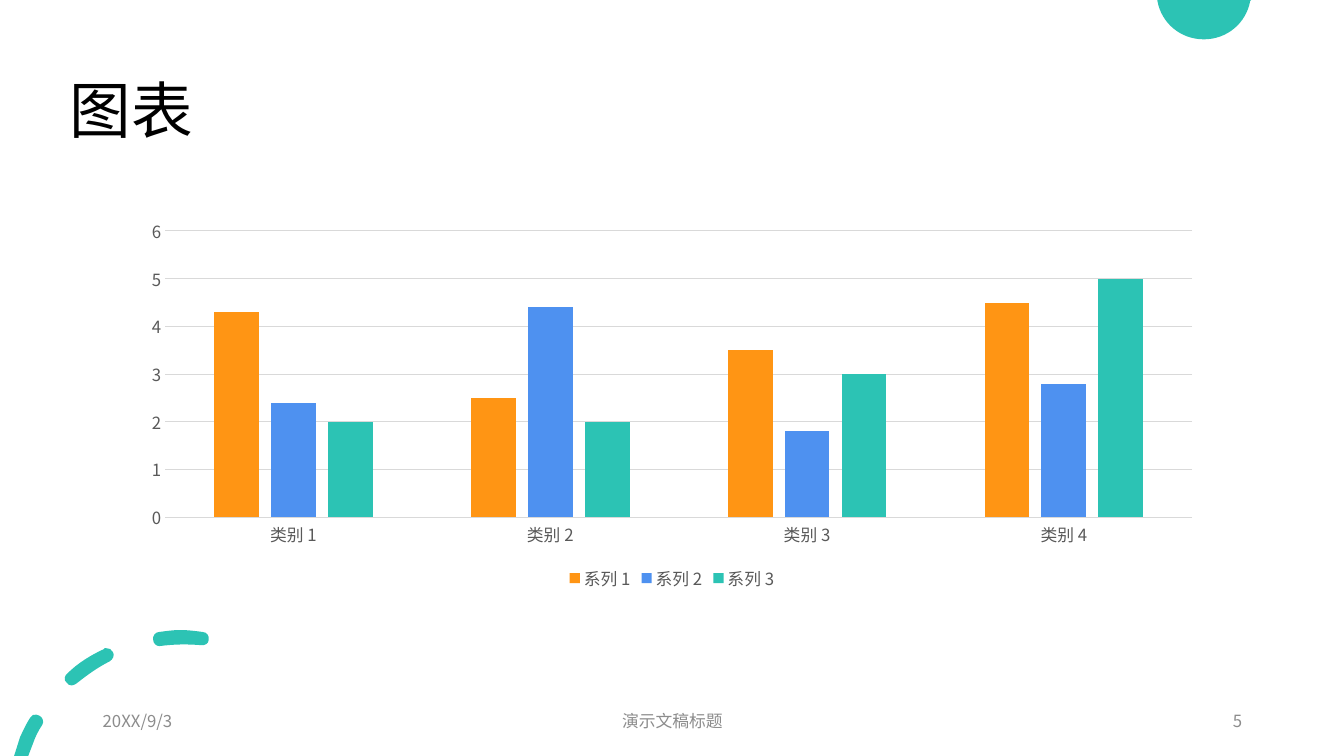
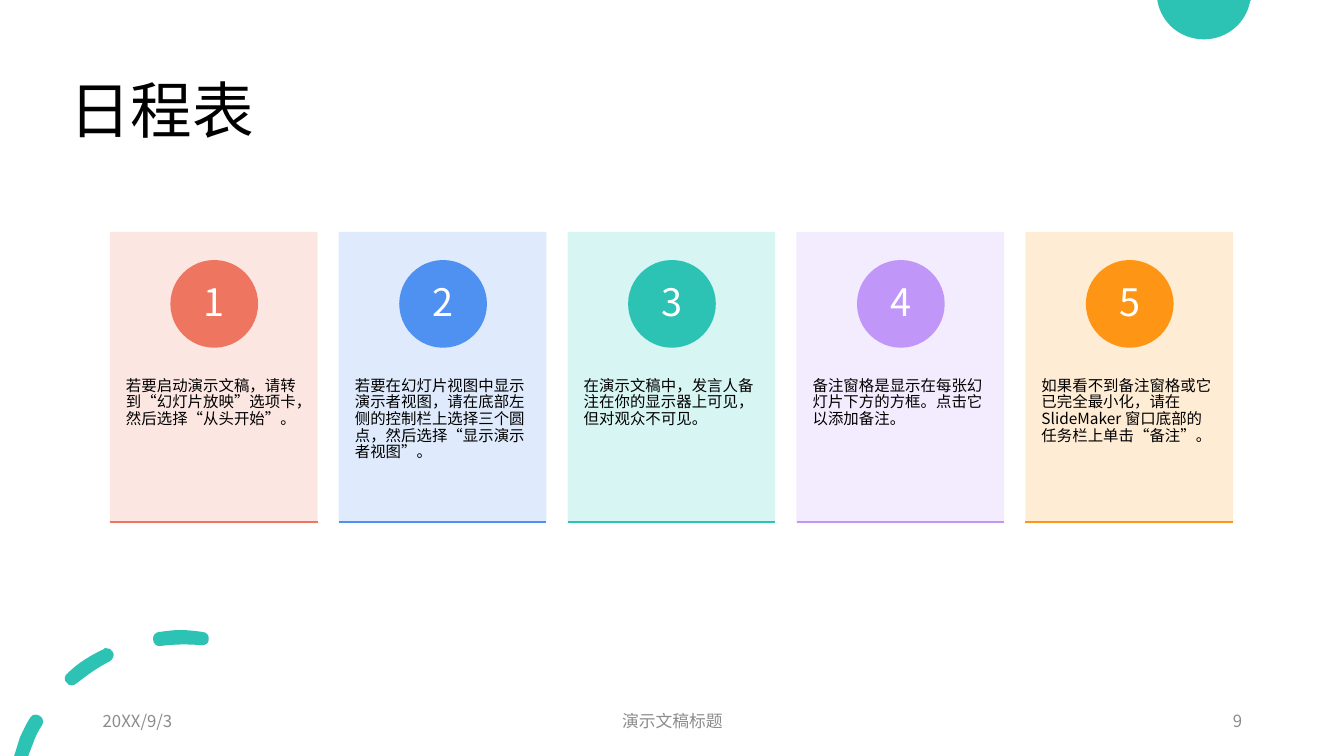
from lxml import etree
from pptx import Presentation
from pptx.chart.data import CategoryChartData
from pptx.dml.color import RGBColor
from pptx.enum.chart import XL_CHART_TYPE, XL_LEGEND_POSITION, XL_TICK_MARK
from pptx.enum.shapes import MSO_CONNECTOR, MSO_SHAPE
from pptx.enum.text import MSO_ANCHOR, MSO_AUTO_SIZE, PP_ALIGN
from pptx.oxml.ns import qn
from pptx.util import Inches, Pt

LEFT, CENTER, RIGHT = PP_ALIGN.LEFT, PP_ALIGN.CENTER, PP_ALIGN.RIGHT
TOP, MIDDLE = MSO_ANCHOR.TOP, MSO_ANCHOR.MIDDLE
NONE, FIXED = XL_TICK_MARK.NONE, MSO_AUTO_SIZE.NONE
FONT = "Noto Sans CJK SC"
HEX = {
    "black": "000000", "white": "FFFFFF", "gray": "8C8C8C",
    "label": "595959", "grid": "D9D9D9",
    "coral": "EE7661", "blue": "4E91F0", "teal": "2CC3B4",
    "violet": "C097F8", "orange": "FF9514",
    "coral tint": "FCE4DF", "blue tint": "DCE9FC", "teal tint": "D3F5F2",
    "violet tint": "F2EAFE", "orange tint": "FFEAD0",
}
RGB = {name: RGBColor.from_string(code) for name, code in HEX.items()}

# Outlines in inches: a start, then lines (2 numbers) and curves (6 numbers)
DISC = [
    [(11.48, 0), (12.41, 0), (12.4, 0.01), (12.36, 0.23, 12.17, 0.39, 11.94, 0.39),
     (11.71, 0.39, 11.52, 0.23, 11.48, 0.01)],
]
DASHES = [
    [(0.36, 7.09), (0.34, 7.08, 0.31, 7.1, 0.3, 7.12),
     (0.26, 7.18, 0.23, 7.25, 0.2, 7.31), (0.14, 7.5), (0.28, 7.5), (0.33, 7.37),
     (0.35, 7.31, 0.38, 7.25, 0.42, 7.19), (0.44, 7.16, 0.42, 7.11, 0.39, 7.1),
     (0.38, 7.09, 0.37, 7.09, 0.36, 7.09)],
    [(1.05, 6.43), (1.04, 6.43, 1.03, 6.43, 1.03, 6.44),
     (0.9, 6.5, 0.77, 6.58, 0.67, 6.68), (0.64, 6.7, 0.63, 6.75, 0.66, 6.77),
     (0.67, 6.79, 0.69, 6.8, 0.71, 6.8), (0.73, 6.8, 0.74, 6.79, 0.76, 6.78),
     (0.86, 6.7, 0.97, 6.62, 1.09, 6.56), (1.12, 6.54, 1.14, 6.5, 1.12, 6.47),
     (1.11, 6.44, 1.08, 6.43, 1.05, 6.43)],
    [(1.79, 6.25), (1.72, 6.25, 1.65, 6.26, 1.58, 6.27),
     (1.54, 6.27, 1.51, 6.31, 1.52, 6.35), (1.52, 6.38, 1.55, 6.41, 1.58, 6.41),
     (1.73, 6.39, 1.86, 6.39, 1.99, 6.4), (2.03, 6.41, 2.07, 6.38, 2.07, 6.35),
     (2.08, 6.31, 2.05, 6.27, 2.01, 6.27), (1.94, 6.26, 1.86, 6.25, 1.79, 6.25)],
]


def text(shape, words, size=12, color="black", align=LEFT, anchor=MIDDLE,
         pad=(0.1, 0.05), space=1.0):
    """Fill a shape with one paragraph; pad is the side and top inset in inches."""
    frame = shape.text_frame
    frame.word_wrap = True
    frame.auto_size = FIXED
    frame.vertical_anchor = anchor
    frame.margin_left = frame.margin_right = Inches(pad[0])
    frame.margin_top = frame.margin_bottom = Inches(pad[1])
    para = frame.paragraphs[0]
    para.alignment = align
    para.line_spacing = space
    run = para.add_run()
    run.text = words
    run.font.size = Pt(size)
    run.font.name = FONT
    run.font.color.rgb = RGB[color]


def paint(shape, color):
    shape.shadow.inherit = False
    shape.fill.solid()
    shape.fill.fore_color.rgb = RGB[color]
    shape.line.fill.background()


deck = Presentation()
deck.slide_width, deck.slide_height = Inches(13.33), Inches(7.5)

# Parts shared by both slides
slides = []
for title, width, page in (("图表", 6.35, "5"), ("日程表", 11.5, "9")):
    slide = deck.slides.add_slide(deck.slide_layouts[6])
    slides.append(slide)
    for loops in (DISC, DASHES):
        pen = slide.shapes.build_freeform(*[Inches(v) for v in loops[0][0]])
        for start, *steps in loops:
            if start != loops[0][0]:
                pen.move_to(*[Inches(v) for v in start])
            flat = [Inches(v) for step in steps for v in step]
            pen.add_line_segments(list(zip(flat[::2], flat[1::2])), close=False)
            # An outline is closed below, once its curves are in place
        shape = pen.convert_to_shape()
        paint(shape, "teal")
        lines = iter(list(shape.element.iter(qn("a:lnTo"))))
        for start, *steps in loops:
            for step in steps:
                last = next(lines)
                if len(step) == 6:
                    curve = last.makeelement(qn("a:cubicBezTo"), {})
                    last.addprevious(curve)
                    for line in (last, next(lines), next(lines)):
                        curve.append(line[0])
                        line.getparent().remove(line)
                    last = curve
            last.addnext(last.makeelement(qn("a:close"), {}))
    box = slide.shapes.add_textbox(Inches(0.59), Inches(0.4), Inches(width), Inches(1.45))
    text(box, title, size=44, space=0.9)
    for words, left, wide, align in (("20XX/9/3", 0.92, 3, LEFT),
                                     ("演示文稿标题", 4.42, 4.5, CENTER),
                                     (page, 9.42, 3, RIGHT)):
        box = slide.shapes.add_textbox(Inches(left), Inches(6.95), Inches(wide), Inches(0.4))
        text(box, words, color="gray", align=align)

# Slide 1: column chart
data = CategoryChartData()
data.categories = [f"类别 {n}" for n in range(1, 5)]
rows = (("orange", (4.3, 2.5, 3.5, 4.5)),
        ("blue", (2.4, 4.4, 1.8, 2.8)),
        ("teal", (2, 2, 3, 5)))
for n, (color, values) in enumerate(rows, 1):
    data.add_series(f"系列 {n}", values)
chart = slides[0].shapes.add_chart(
    XL_CHART_TYPE.COLUMN_CLUSTERED, Inches(1.29), Inches(2.09),
    Inches(10.75), Inches(3.81), data).chart
chart.has_title = False
chart.font.name = FONT
chart.font.size = Pt(12)
chart.font.color.rgb = RGB["label"]
chart.has_legend = True
chart.legend.position = XL_LEGEND_POSITION.BOTTOM
chart.legend.include_in_layout = False
plot = chart.plots[0]
plot.vary_by_categories = False
plot.gap_width, plot.overlap = 219, -27
for series, (color, values) in zip(plot.series, rows):
    series.format.fill.solid()
    series.format.fill.fore_color.rgb = RGB[color]
base, scale = chart.category_axis, chart.value_axis
for axis in (base, scale):
    axis.major_tick_mark = axis.minor_tick_mark = NONE
scale.minimum_scale, scale.maximum_scale, scale.major_unit = 0, 6, 1
scale.has_major_gridlines = True
scale.format.line.fill.background()
for line in (base.format.line, scale.major_gridlines.format.line):
    line.color.rgb = RGB["grid"]
    line.width = Pt(0.75)

# Slide 2: numbered cards
cards = (
    ("coral", "若要启动演示文稿，请转到“幻灯片放映”选项卡，然后选择“从头开始”。"),
    ("blue", "若要在幻灯片视图中显示演示者视图，请在底部左侧的控制栏上选择三个圆点，"
             "然后选择“显示演示者视图”。"),
    ("teal", "在演示文稿中，发言人备注在你的显示器上可见，但对观众不可见。"),
    ("violet", "备注窗格是显示在每张幻灯片下方的方框。点击它以添加备注。"),
    ("orange", "如果看不到备注窗格或它已完全最小化，请在 SlideMaker 窗口底部的任务栏上单击“备注”。"),
)
shapes = slides[1].shapes
wide = Inches(2.06)
for i, (color, words) in enumerate(cards):
    left = Inches(1.09 + 2.27 * i)
    card = shapes.add_shape(MSO_SHAPE.RECTANGLE, left, Inches(2.3), wide, Inches(2.89))
    paint(card, color + " tint")
    tint = card.element.spPr.find(".//" + qn("a:srgbClr"))
    etree.SubElement(tint, qn("a:alpha"), val="90000")
    box = shapes.add_textbox(left, Inches(3.39), wide, Inches(1.73))
    text(box, words, size=11, anchor=TOP, pad=(0.16, 0.36), space=0.9)
    badge = shapes.add_shape(MSO_SHAPE.OVAL, left + Inches(0.6), Inches(2.58),
                             Inches(0.87), Inches(0.87))
    paint(badge, color)
    text(badge, str(i + 1), size=27, color="white", align=CENTER,
         pad=(0.07, 0.01), space=0.9)
    rule = shapes.add_connector(MSO_CONNECTOR.STRAIGHT, left, Inches(5.18),
                                left + wide, Inches(5.18))
    rule.line.color.rgb = RGB[color]
    rule.line.width = Pt(1)
    etree.SubElement(rule.element.spPr, qn("a:effectLst"))

# Chinese text takes the same font as Latin text
for root in [slide.element for slide in slides] + [chart.element]:
    for latin in list(root.iter(qn("a:latin"))):
        latin.addnext(latin.makeelement(qn("a:ea"), {"typeface": FONT}))

deck.save("out.pptx")
